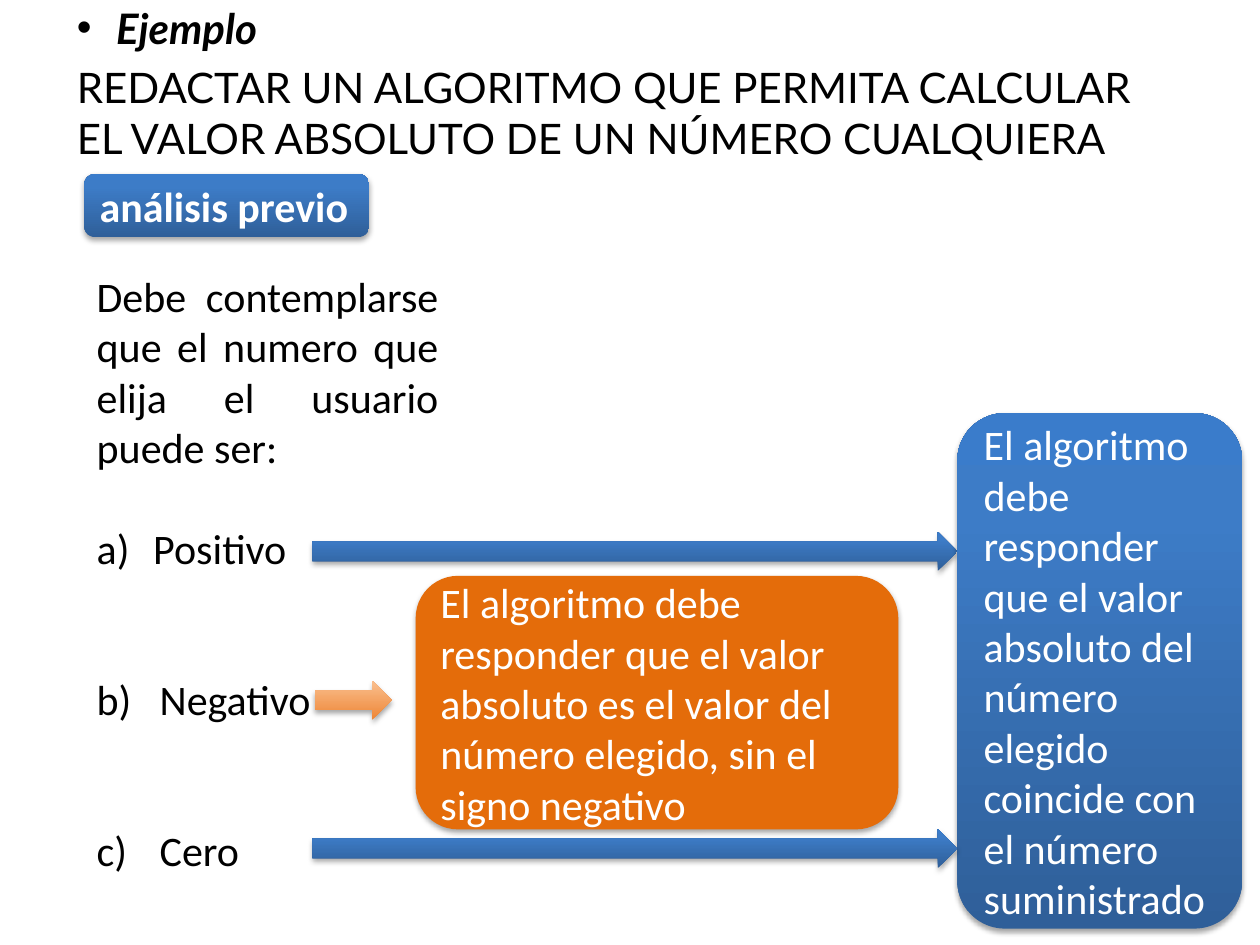
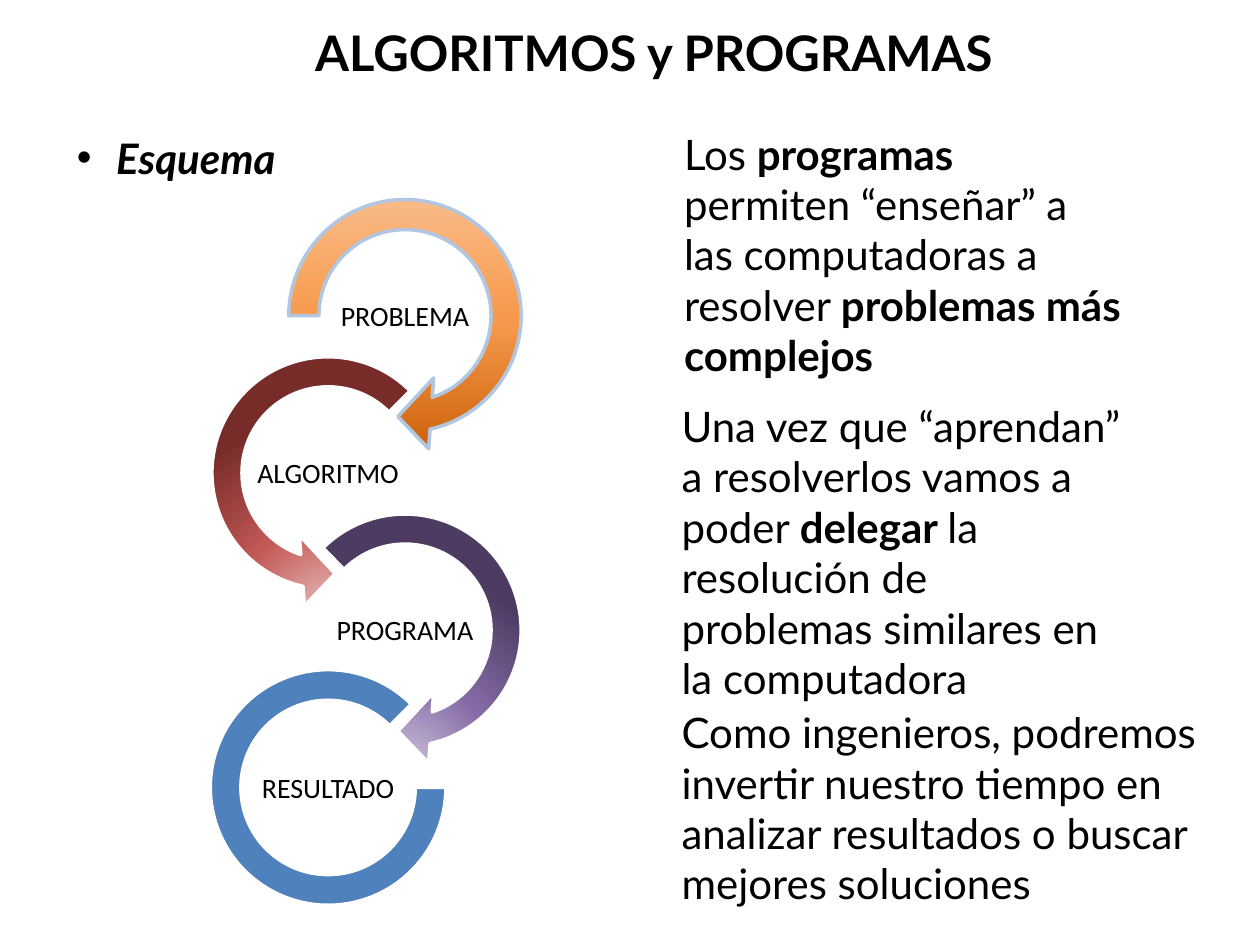
"""Builds two slides on algorithms: an absolute value analysis and a problem-to-result scheme."""
from lxml import etree
from pptx import Presentation
from pptx import util as u
from pptx.dml import color
from pptx.enum import shapes, text
from pptx.oxml import ns

COLORS = {"text": "000000", "light": "FFFFFF", "orange": "E46C0A",
          "blue": "4F81BD", "ring_edge": "B0C6E1"}
GRADIENTS = {
    "blue": [(0, "2F5F99"), (80, "3D7CC7"), (100, "3A7CCB")],
    "amber": [(0, "EE8636"), (100, "FAC090")],
    "problem": [(0, "CC6109"), (48, "F7994C"), (100, "FAC090")],
    "algorithm": [(0, "E6B9B8"), (46, "C35956"), (100, "772C2A")],
    "program": [(0, "CCC1DA"), (46, "866CA7"), (100, "4D3B62")],
}
HEADING_FONT, BODY_FONT = "Lato", "Calibri"
Shape = shapes.MSO_SHAPE
Align = text.PP_ALIGN
Anchor = text.MSO_ANCHOR


def rgb(name):
    return color.RGBColor.from_string(COLORS[name])


def child(parent, tag, **attributes):
    element = etree.SubElement(parent, ns.qn(tag))
    for key, value in attributes.items():
        element.set(key, str(value))
    return element


class Deck:
    """Holds the shared style and the slide being filled."""

    def __init__(self):
        self.presentation = Presentation()
        self.presentation.slide_width = u.Cm(25.4)
        self.presentation.slide_height = u.Cm(19.05)
        self.slide = None

    def new_slide(self, title=None, box=None):
        layout = self.presentation.slide_layouts[5 if title else 6]
        self.slide = self.presentation.slides.add_slide(layout)
        if title:
            shape = self.slide.shapes.title
            shape.left, shape.top, shape.width, shape.height = map(u.Cm, box)
            shape.text_frame.auto_size = text.MSO_AUTO_SIZE.NONE
            self.add_text(shape, [(title, "b")], font=HEADING_FONT, size=28)

    def add_text(self, shape, runs, font=BODY_FONT, size=24, ink="text",
                 align=Align.LEFT, anchor=Anchor.TOP, more=False):
        frame = shape.text_frame
        frame.word_wrap = True
        frame.vertical_anchor = anchor
        paragraph = frame.add_paragraph() if more else frame.paragraphs[0]
        paragraph.alignment = align
        for words, style in runs:
            for index, line in enumerate(words.split("\n")):
                if index:
                    paragraph.add_line_break()
                run = paragraph.add_run()
                run.text = line
                run.font.name = font
                run.font.size = u.Pt(size)
                run.font.bold = "b" in style
                run.font.italic = "i" in style
                run.font.color.rgb = rgb(ink)
        return paragraph

    def text_box(self, box, *runs, **style):
        shape = self.slide.shapes.add_textbox(*map(u.Cm, box))
        self.add_text(shape, runs, **style)
        return shape

    def hang(self, paragraph, indent):
        properties = paragraph._p.get_or_add_pPr()
        properties.set("marL", str(u.Cm(indent)))
        properties.set("indent", str(-u.Cm(indent)))
        return properties

    def bullet_heading(self, top, words):
        shape = self.text_box((1.3, top, 23.01, 2.13), (words, "bi"), font=HEADING_FONT)
        properties = self.hang(shape.text_frame.paragraphs[0], 0.79)
        child(properties, "a:buFont", typeface="Arial")
        child(properties, "a:buChar", char="•")

    def lettered_item(self, shape, number, words, indent, gap):
        paragraph = self.add_text(shape, [(words, "")], more=True)
        properties = self.hang(paragraph, indent)
        child(properties, "a:buFont", typeface="+mj-lt")
        child(properties, "a:buAutoNum", type="alphaLcParenR", startAt=number)
        paragraph.space_before = u.Pt(gap)

    def gradient(self, shape, name, radial=False):
        shape.fill.solid()
        solid = shape.element.spPr.find(ns.qn("a:solidFill"))
        fill = etree.Element(ns.qn("a:gradFill"), rotWithShape="1")
        stops = child(fill, "a:gsLst")
        for position, value in GRADIENTS[name]:
            child(child(stops, "a:gs", pos=position * 1000), "a:srgbClr", val=value)
        if radial:
            circle = child(fill, "a:path", path="circle")
            child(circle, "a:fillToRect", l=50000, t=130000, r=50000, b=-30000)
        else:
            child(fill, "a:lin", ang=270 * 60000, scaled=0)
        solid.getparent().replace(solid, fill)

    def shape(self, kind, box, fill, edge=None, radial=False, shadow=False, adjust=()):
        shape = self.slide.shapes.add_shape(kind, *map(u.Cm, box))
        for index, value in enumerate(adjust):
            shape.adjustments[index] = value
        if fill in GRADIENTS and kind != Shape.BLOCK_ARC:
            self.gradient(shape, fill, radial)
        else:
            shape.fill.solid()
            shape.fill.fore_color.rgb = rgb(fill)
        if edge:
            shape.line.color.rgb = rgb(edge)
            shape.line.width = u.Pt(2)
        else:
            shape.line.fill.background()
        shape.shadow.inherit = False
        if shadow:
            effects = shape.element.spPr.find(ns.qn("a:effectLst"))
            outer = child(effects, "a:outerShdw", blurRad=u.Pt(3.1), dist=u.Pt(1.8),
                          dir=90 * 60000, rotWithShape=0)
            child(child(outer, "a:srgbClr", val=COLORS["text"]), "a:alpha", val=35000)
        return shape

    def card(self, box, fill, words, style=""):
        shape = self.shape(Shape.ROUNDED_RECTANGLE, box, fill, shadow=True)
        self.add_text(shape, [(words, style)], ink="light", anchor=Anchor.MIDDLE)

    def block_arrow(self, left, top, width, fill):
        self.shape(Shape.RIGHT_ARROW, (left, top, width, 0.79), fill, shadow=True)

    def ring_label(self, left, top, words):
        shape = self.text_box((left, top, 3.07, 1.55), (words, ""), size=16,
                              align=Align.CENTER, anchor=Anchor.MIDDLE)
        frame = shape.text_frame
        frame.margin_left = frame.margin_right = u.Cm(0.03)
        frame.margin_top = frame.margin_bottom = u.Cm(0.03)
        frame.paragraphs[0].line_spacing = 0.9


def absolute_value_slide(deck):
    deck.new_slide()
    deck.bullet_heading(-0.08, "Ejemplo")
    deck.text_box((1.3, 1.12, 21.79, 2.31),
                  ("REDACTAR UN ALGORITMO QUE PERMITA CALCULAR EL VALOR ABSOLUTO "
                   "DE UN NÚMERO CUALQUIERA", ""), font=HEADING_FONT)
    deck.card((1.7, 3.51, 5.74, 1.27), "blue", "análisis previo", "b")
    cases = deck.text_box((1.7, 5.33, 7.39, 12.57),
                          ("Debe contemplarse que el numero que elija el usuario puede ser:", ""),
                          align=Align.JUSTIFY)
    line = 28.8
    items = [("Positivo", 1.14, line), ("Negativo", 1.27, 2 * line), ("Cero", 1.27, 2 * line)]
    for number, (words, indent, gap) in enumerate(items, 1):
        deck.lettered_item(cases, number, words, indent, gap)
    deck.block_arrow(6.3, 10.72, 13, "blue")
    deck.card((19.3, 8.33, 5.74, 10.39), "blue",
              "El algoritmo debe responder que el valor absoluto del número elegido "
              "coincide con el número suministrado")
    deck.block_arrow(6.3, 16.71, 13, "blue")
    deck.block_arrow(6.35, 13.72, 1.55, "amber")
    deck.card((8.38, 11.61, 9.73, 5.11), "orange",
              "El algoritmo debe responder que el valor absoluto es el valor del "
              "número elegido, sin el signo negativo")


def scheme_slide(deck):
    deck.new_slide("ALGORITMOS y PROGRAMAS", (6.1, 0.33, 14.81, 1.45))
    deck.bullet_heading(2.54, "Esquema")
    deck.text_box((13.54, 2.46, 9.4, 5.38), ("Los ", ""), ("programas", "b"),
                  (" permiten “enseñar” a las computadoras a resolver ", ""),
                  ("problemas más complejos", "b"), font=HEADING_FONT)

    right, left, first_top, step, size = 5.41, 3.86, 3.61, 3.17, 5.51
    arrow = Shape.CIRCULAR_ARROW
    stages = [
        ("PROBLEMA", arrow, "problem", "ring_edge", (0.11, 11.42, 45, 108, 0.13)),
        ("ALGORITMO", Shape.LEFT_CIRCULAR_ARROW, "algorithm", "light",
         (0.11, 11.42, 63, 189, 0.13)),
        ("PROGRAMA", arrow, "program", "light", (0.11, 11.42, 45, 135, 0.13)),
        ("RESULTADO", Shape.BLOCK_ARC, "blue", "light", (0, 189, 0.13)),
    ]
    for index, (words, kind, fill, edge, adjust) in enumerate(stages):
        x = left if index % 2 else right
        y = first_top + index * step
        inset = 0.38 if kind == Shape.BLOCK_ARC else 0
        side = size - 2 * inset
        deck.shape(kind, (x + inset, y + inset, side, side), fill, edge,
                   radial=fill != "problem", adjust=adjust)
        deck.ring_label(x + 1.22, y + 2.01, words)

    deck.text_box((13.49, 7.95, 9.4, 6.4),
                  ("Una vez que “aprendan” a resolverlos vamos a poder ", ""),
                  ("delegar ", "b"),
                  ("la resolución de\nproblemas similares en la computadora", ""),
                  font=HEADING_FONT)
    deck.text_box((13.49, 14.12, 11.2, 4.37),
                  ("Como ingenieros, podremos invertir nuestro tiempo en analizar "
                   "resultados o buscar mejores soluciones", ""), font=HEADING_FONT)


def main():
    deck = Deck()
    absolute_value_slide(deck)
    scheme_slide(deck)
    deck.presentation.save("out.pptx")


if __name__ == "__main__":
    main()
